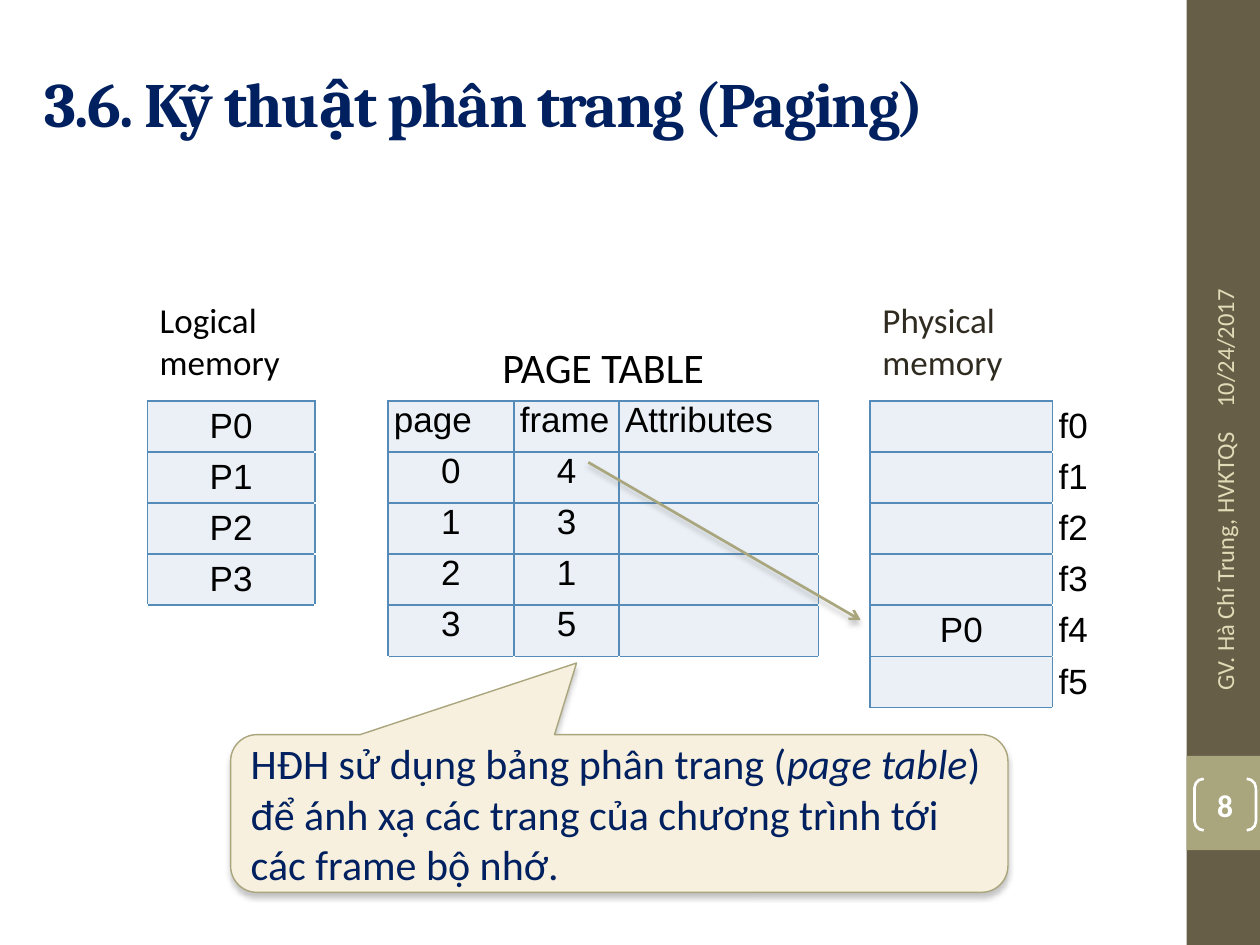
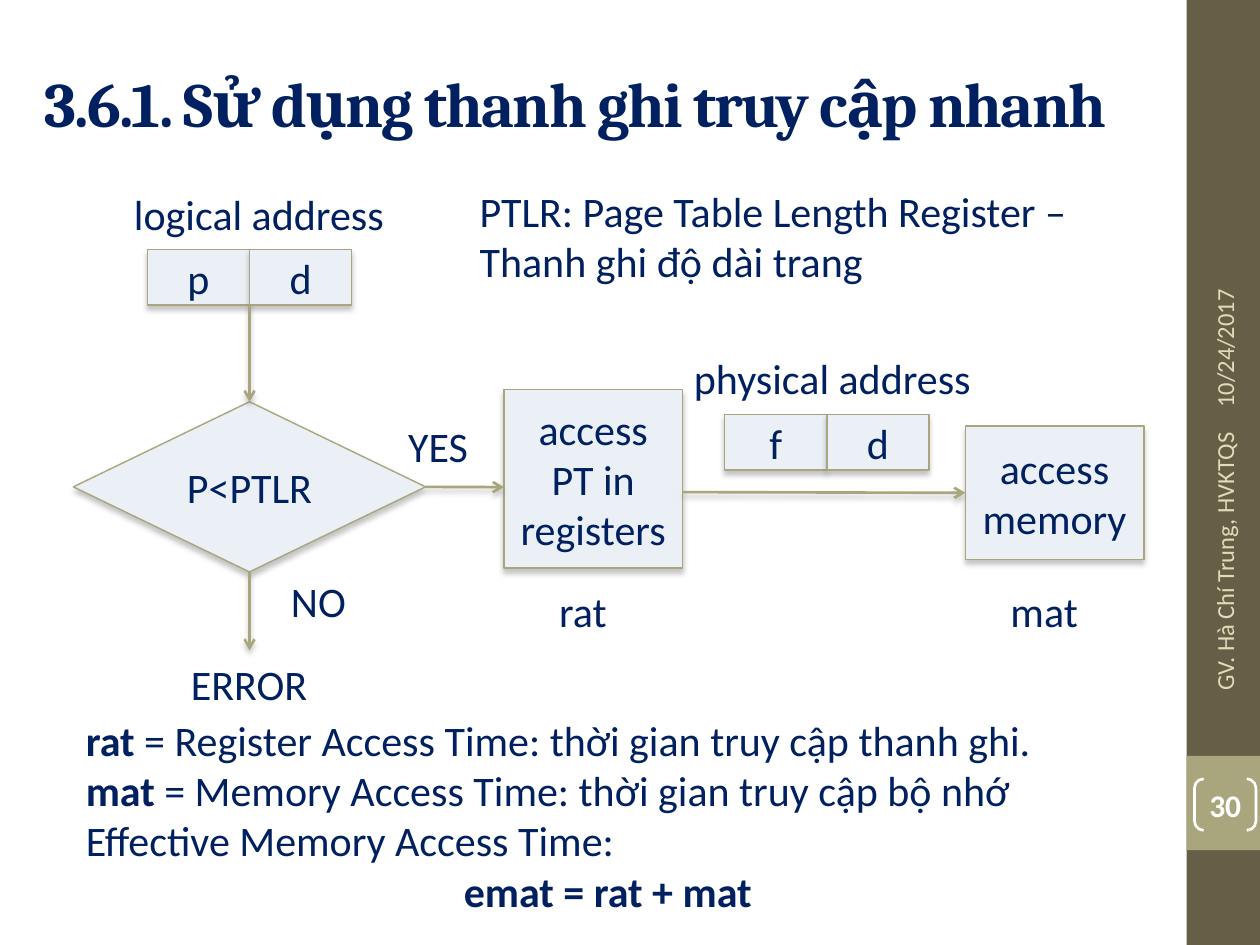
from pptx import Presentation
from pptx.dml.color import RGBColor
from pptx.enum.shapes import MSO_CONNECTOR, MSO_SHAPE
from pptx.enum.text import MSO_ANCHOR as ANCHOR, PP_ALIGN as ALIGN
from pptx.oxml import parse_xml
from pptx.oxml.ns import nsdecls, qn
from pptx.util import Cm, Pt

rgb = RGBColor.from_string
NAVY, BLACK, WHITE = "002060", "000000", "FFFFFF"
OLIVE, KHAKI, CREAM = "675E47", "A9A57C", "DFDCB7"
PALE_BLUE, CELL_BLUE = "EAF0F6", "558BB8"
SHADOW = (f'<a:effectLst {nsdecls("a")}><a:outerShdw blurRad="38100" dist="30480" '
          'dir="5400000" rotWithShape="0"><a:srgbClr val="808080">'
          '<a:alpha val="45000"/></a:srgbClr></a:outerShdw></a:effectLst>')


def add_box(slide, kind, at, text="", size=24, color=NAVY, font="Calibri", bold=False,
            align=ALIGN.CENTER, anchor=ANCHOR.MIDDLE, fill=None, line=None,
            width=0.79, shadow=False):
    """Add a shape, or a text box if kind is None.

    text is a string or a list of paragraphs, each a list of (text, style) runs
    where style is "", "b" or "i".
    """
    at = [Cm(v) for v in at]
    if kind is None:
        sp = slide.shapes.add_textbox(*at)
    else:
        sp = slide.shapes.add_shape(kind, *at)
        sp.shadow.inherit = False
        if shadow:
            spPr = sp._element.spPr
            spPr.replace(spPr.find(qn("a:effectLst")), parse_xml(SHADOW))
        if fill:
            sp.fill.solid()
            sp.fill.fore_color.rgb = rgb(fill)
        else:
            sp.fill.background()
        if line:
            sp.line.color.rgb = rgb(line)
            sp.line.width = Pt(width)
        else:
            sp.line.fill.background()
    tf = sp.text_frame
    tf.word_wrap = True
    tf.vertical_anchor = anchor
    paragraphs = [[(text, "")]] if isinstance(text, str) else text
    for i, runs in enumerate(paragraphs):
        p = tf.add_paragraph() if i else tf.paragraphs[0]
        p.alignment = align
        for run_text, style in runs:
            if not run_text:
                continue
            r = p.add_run()
            r.text = run_text
            r.font.name, r.font.size = font, Pt(size)
            r.font.color.rgb = rgb(color)
            r.font.bold = bold or style == "b"
            r.font.italic = style == "i"
    return sp


def add_arrow(slide, start, stop, begin=None, end=None):
    """Draw an arrow; begin and end are optional (shape, side) joints."""
    line = slide.shapes.add_connector(
        MSO_CONNECTOR.STRAIGHT, *[Cm(v) for v in (*start, *stop)])
    if begin:
        line.begin_connect(*begin)
    if end:
        line.end_connect(*end)
    line.line.color.rgb = rgb(KHAKI)
    line.line.width = Pt(1.5)
    line.line._get_or_add_ln().append(
        parse_xml(f'<a:tailEnd {nsdecls("a")} type="arrow"/>'))
    line._element.spPr.append(parse_xml(SHADOW))


prs = Presentation()
prs.slide_width, prs.slide_height = Cm(25.4), Cm(19.05)

# Shared frame: side band, title, date, author and slide number
slides = []
for title, number in [("3.6. Kỹ thuật phân trang (Paging)", "8"),
                      ("3.6.1. Sử dụng thanh ghi truy cập nhanh", "30")]:
    slide = prs.slides.add_slide(prs.slide_layouts[6])
    slides.append(slide)
    add_box(slide, MSO_SHAPE.RECTANGLE, (23.92, 0, 1.48, 19.05), fill=OLIVE)
    add_box(slide, MSO_SHAPE.RECTANGLE, (23.92, 15.24, 1.48, 1.9), fill=KHAKI)
    sp = add_box(slide, None, (0.64, 0.76, 22.66, 2.62), title, 36,
                 font="Cambria", bold=True, align=ALIGN.LEFT)
    sp.text_frame.paragraphs[0].runs[0].font._element.set("spc", "-100")
    for at, text, align in [
            ((21.29, 4.57, 6.78, 1.02), "10/24/2017", ALIGN.LEFT),
            ((21.39, 11.25, 6.58, 1.02), "GV. Hà Chí Trung, HVKTQS", ALIGN.RIGHT)]:
        add_box(slide, None, at, text, 14, CREAM, align=align).rotation = 270
    sp = add_box(slide, MSO_SHAPE.DOUBLE_BRACKET, (24.08, 15.7, 1.24, 1.04), number,
                 18, WHITE, bold=True, line=WHITE, width=1.5)
    sp.adjustments[0] = 0.179
    tf = sp.text_frame
    tf.margin_left = tf.margin_right = tf.margin_top = tf.margin_bottom = 0

paging, registers = slides

# Slide 1: logical memory, page table and physical memory in one table
ROWS = [
    ["Logical memory", "", "PAGE TABLE", "", "", "", "Physical memory", ""],
    ["P0", "", "page", "frame", "Attributes", "", "", "f0"],
    ["P1", "", "0", "4", "", "", "", "f1"],
    ["P2", "", "1", "3", "", "", "", "f2"],
    ["P3", "", "2", "1", "", "", "", "f3"],
    ["", "", "3", "5", "", "", "P0", "f4"],
    ["", "", "", "", "", "", "", "f5"],
]
COL_WIDTHS = [3.38, 1.47, 2.54, 2.12, 4.02, 1.04, 3.68, 0.86]
ROW_HEIGHTS = [2.16] + [1.03] * 6
LAST_FILLED_ROW = {0: 4, 2: 5, 3: 5, 4: 5, 6: 6}
filled = {(r, c) for c, last in LAST_FILLED_ROW.items() for r in range(1, last + 1)}
SIDES = [("a:lnL", 0, -1), ("a:lnR", 0, 1), ("a:lnT", -1, 0), ("a:lnB", 1, 0)]

table = paging.shapes.add_table(
    len(ROWS), len(COL_WIDTHS), Cm(2.97), Cm(5.92),
    Cm(sum(COL_WIDTHS)), Cm(sum(ROW_HEIGHTS))).table
table.first_row = table.horz_banding = False
for col, width in zip(table.columns, COL_WIDTHS):
    col.width = Cm(width)
for row, height in zip(table.rows, ROW_HEIGHTS):
    row.height = Cm(height)
table.cell(0, 2).merge(table.cell(0, 4))

for i, row in enumerate(ROWS):
    for j, text in enumerate(row):
        cell = table.cell(i, j)
        heading, in_page_table = i == 0, 2 <= j <= 4
        cell.margin_left = cell.margin_right = Cm(0.25 if heading else 0.12)
        cell.margin_top = cell.margin_bottom = Cm(0.12 if heading else 0)
        if heading:
            cell.vertical_anchor = ANCHOR.BOTTOM if in_page_table else ANCHOR.TOP
        else:
            cell.vertical_anchor = ANCHOR.TOP if in_page_table else ANCHOR.MIDDLE
        p = cell.text_frame.paragraphs[0]
        p.text = text
        left = j == 7 or (i == 1 and in_page_table) or (heading and not in_page_table)
        p.alignment = ALIGN.LEFT if left else ALIGN.CENTER
        for r in p.runs:
            r.font.name = "Calibri" if heading else "Arial"
            r.font.size = Pt(24 if heading and in_page_table else 20)
            r.font.color.rgb = rgb("2F2B20" if heading and j == 6 else BLACK)
        tcPr = cell._tc.get_or_add_tcPr()
        for tag, di, dj in SIDES:
            blue = (i, j) in filled or (i + di, j + dj) in filled
            tcPr.append(parse_xml(
                f'<{tag} {nsdecls("a")} w="12700"><a:solidFill><a:srgbClr '
                f'val="{CELL_BLUE if blue else WHITE}"/></a:solidFill></{tag}>'))
        if (i, j) in filled:
            cell.fill.solid()
            cell.fill.fore_color.rgb = rgb(PALE_BLUE)
        else:
            cell.fill.background()

add_arrow(paging, (11.86, 9.32), (17.35, 12.5))
callout = add_box(
    paging, MSO_SHAPE.ROUNDED_RECTANGULAR_CALLOUT, (4.65, 14.81, 15.67, 3.18),
    [[("HĐH sử dụng bảng phân trang (", ""), ("page table", "i"),
      (") để ánh xạ các trang của chương trình tới các frame bộ nhớ.", "")]],
    align=ALIGN.LEFT, fill="F7F0DE", line=KHAKI, shadow=True)
for i, value in enumerate([-0.055, -0.954, 0.167]):
    callout.adjustments[i] = value

# Slide 2: flow of an address through the registers
flow = {}
for name, kind, at, text in [
        ("check", MSO_SHAPE.FLOWCHART_DECISION, (1.48, 8.1, 7.1, 3.43), "P<PTLR"),
        ("page", MSO_SHAPE.RECTANGLE, (2.97, 5.03, 2.06, 1.12), "p"),
        ("offset", MSO_SHAPE.RECTANGLE, (5.03, 5.03, 2.06, 1.12), "d"),
        ("registers", MSO_SHAPE.FLOWCHART_PROCESS, (10.16, 7.85, 3.6, 3.6),
         "access PT in registers"),
        ("frame", MSO_SHAPE.RECTANGLE, (14.61, 8.36, 2.06, 1.12), "f"),
        ("frame offset", MSO_SHAPE.RECTANGLE, (16.67, 8.36, 2.06, 1.12), "d"),
        ("memory", MSO_SHAPE.FLOWCHART_PROCESS, (19.46, 8.59, 3.6, 2.69),
         "access memory")]:
    flow[name] = add_box(registers, kind, at, text, fill=PALE_BLUE, line=KHAKI, shadow=True)

add_arrow(registers, (5.03, 6.15), (5.03, 8.1), end=(flow["check"], 0))
add_arrow(registers, (8.58, 9.82), (10.16, 9.82), begin=(flow["check"], 3))
add_arrow(registers, (5.03, 11.53), (5.03, 13.11), begin=(flow["check"], 2))
add_arrow(registers, (13.76, 9.92), (19.46, 9.93), end=(flow["memory"], 1))

for left, top, width, text in [
        (1.98, 3.68, 6.48, "logical address"), (13.54, 6.99, 6.48, "physical address"),
        (10.16, 11.68, 3.18, "rat"), (19.46, 11.68, 3.18, "mat"),
        (4.83, 11.48, 3.18, "NO"), (7.24, 8.36, 3.18, "YES"),
        (3.43, 13.16, 3.18, "ERROR")]:
    add_box(registers, None, (left, top, width, 1.27), text, anchor=ANCHOR.TOP)

add_box(registers, None, (9.42, 3.61, 13.21, 2.31),
        "PTLR: Page Table Length Register – Thanh ghi độ dài trang",
        align=ALIGN.LEFT, anchor=ANCHOR.TOP)
times = add_box(
    registers, None, (1.48, 14.27, 21.16, 4.37),
    [[("rat", "b"), (" = Register Access Time: thời gian truy cập thanh ghi.", "")],
     [("mat", "b"), (" = Memory Access Time: thời gian truy cập bộ nhớ", "")],
     [("Effective Memory Access Time:", "")],
     [("emat = rat + mat", "b")]],
    align=ALIGN.LEFT, anchor=ANCHOR.TOP)
formula = times.text_frame.paragraphs[-1]
formula._p.get_or_add_pPr().set("marL", str(Cm(7.62)))

prs.save("out.pptx")
